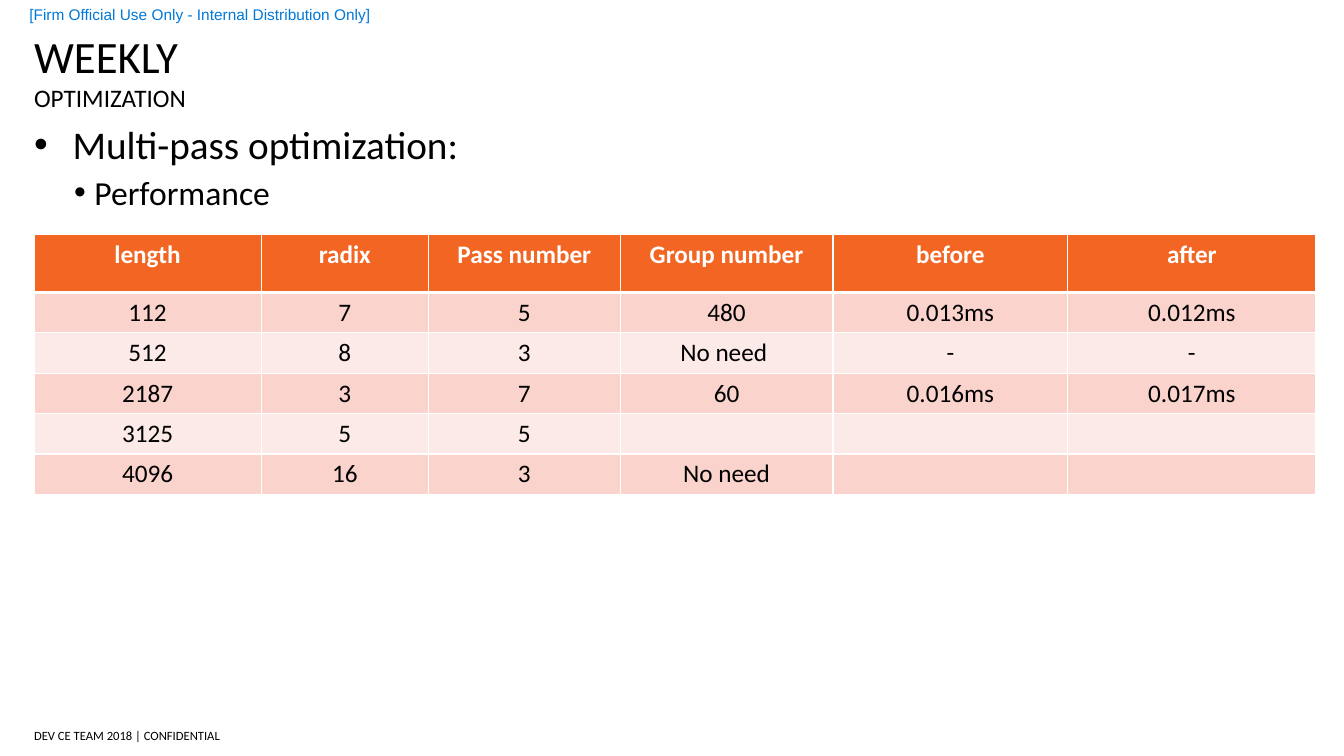
from lxml.etree import SubElement
from pptx import Presentation
from pptx.dml.color import RGBColor
from pptx.enum.text import MSO_ANCHOR, PP_ALIGN
from pptx.oxml.ns import qn
from pptx.util import Cm, Pt

COLORS = {
    "text": "000000",
    "white": "FFFFFF",
    "notice": "0078D7",
    "header": "F26522",
    "band_dark": "FAD3CD",
    "band_light": "FCEAE8",
}
COLUMN_WIDTHS = [5.72, 4.22, 4.83, 5.36, 5.92, 6.25]
HEADER_HEIGHT, ROW_HEIGHT = 1.47, 0.94
ROWS = [
    ["length", "radix", "Pass number", "Group number", "before", "after"],
    ["112", "7", "5", "480", "0.013ms", "0.012ms"],
    ["512", "8", "3", "No need ", "-", "-"],
    ["2187", "3", "7", "60", "0.016ms", "0.017ms"],
    ["3125", "5", "5", "", "", ""],
    ["4096", "16", "3", "No need", "", ""],
]


def rgb(name):
    """Return the named colour."""
    return RGBColor.from_string(COLORS[name])


def write(paragraph, text, size=18, font="Calibri", color="text", bold=False,
          align=PP_ALIGN.LEFT, before=0):
    """Put formatted text into a paragraph."""
    paragraph.alignment = align
    paragraph.space_before = Pt(before)
    run = paragraph.add_run()
    run.text = text
    run.font.size = Pt(size)
    run.font.name = font
    run.font.bold = bold
    run.font.color.rgb = rgb(color)


def set_indent(paragraph, left, hanging=0, bullet=None):
    """Indent a paragraph and give it a bullet when one is named."""
    properties = paragraph._p.get_or_add_pPr()
    properties.set("marL", str(Cm(left)))
    properties.set("indent", str(-Cm(hanging)))
    if bullet:
        SubElement(properties, qn("a:buFont"), typeface="Arial")
        SubElement(properties, qn("a:buChar"), char=bullet)


def add_text_box(slide, left, top, width, height, anchor=MSO_ANCHOR.TOP,
                 inset_top=0, inset_bottom=0):
    """Add a wrapping text box without side insets and return its frame."""
    shape = slide.shapes.add_textbox(Cm(left), Cm(top), Cm(width), Cm(height))
    frame = shape.text_frame
    frame.word_wrap = True
    frame.vertical_anchor = anchor
    frame.margin_left = frame.margin_right = 0
    frame.margin_top, frame.margin_bottom = Cm(inset_top), Cm(inset_bottom)
    return frame


def add_border(cell, side, width):
    """Draw one white cell border."""
    line = SubElement(cell._tc.get_or_add_tcPr(), qn(f"a:ln{side}"), w=str(Pt(width)))
    fill = SubElement(line, qn("a:solidFill"))
    SubElement(fill, qn("a:srgbClr"), val=COLORS["white"])


def format_cell(cell, text, row):
    """Fill one cell according to its row: header or alternating band."""
    is_header = row == 0
    for side in "LRTB":
        below_header = (row, side) in [(0, "B"), (1, "T")]
        add_border(cell, side, 3 if below_header else 1)
    cell.fill.solid()
    band = "band_dark" if row % 2 else "band_light"
    cell.fill.fore_color.rgb = rgb("header" if is_header else band)
    cell.vertical_anchor = MSO_ANCHOR.TOP if is_header else MSO_ANCHOR.MIDDLE
    if text:
        write(cell.text_frame.paragraphs[0], text, bold=is_header,
              color="white" if is_header else "text", align=PP_ALIGN.CENTER)


def add_results_table(slide, left, top):
    """Add the table of pass results."""
    height = HEADER_HEIGHT + ROW_HEIGHT * (len(ROWS) - 1)
    table = slide.shapes.add_table(
        len(ROWS), len(COLUMN_WIDTHS), Cm(left), Cm(top),
        Cm(sum(COLUMN_WIDTHS)), Cm(height)).table
    for column, width in zip(table.columns, COLUMN_WIDTHS):
        column.width = Cm(width)
    for row, texts in enumerate(ROWS):
        table.rows[row].height = Cm(ROW_HEIGHT if row else HEADER_HEIGHT)
        for column, text in enumerate(texts):
            format_cell(table.cell(row, column), text, row)


def main():
    """Build the weekly optimization slide."""
    presentation = Presentation()
    presentation.slide_width, presentation.slide_height = Cm(33.87), Cm(19.05)
    slide = presentation.slides.add_slide(presentation.slide_layouts[6])

    footer = add_text_box(slide, 0.86, 18.24, 4.93, 0.61, MSO_ANCHOR.MIDDLE, 0.1, 0.1)
    write(footer.paragraphs[0], "DEV CE TEAM 2018 | CONFIDENTIAL", size=9)

    notice = add_text_box(slide, 0, 0, 9.7, 0.74, MSO_ANCHOR.MIDDLE)
    write(notice.paragraphs[0], "[Firm Official Use Only - Internal Distribution Only]",
          size=11, font="Arial", color="notice")
    set_indent(notice.paragraphs[0], 0.74)

    body = add_text_box(slide, 0.86, 2.9, 31.5, 14.66, inset_top=0.13, inset_bottom=0.13)
    topic = body.paragraphs[0]
    write(topic, "Multi-pass optimization:", size=28, before=8)
    set_indent(topic, 0.97, 0.97, "•")
    detail = body.add_paragraph()
    detail.level = 1
    write(detail, "Performance", size=24, before=3)
    set_indent(detail, 1.52, 0.51, "•")

    title = add_text_box(slide, 0.86, 0.76, 32.26, 1.32, MSO_ANCHOR.BOTTOM, 0.13)
    write(title.paragraphs[0], "WEEKLY", size=32)
    subtitle = add_text_box(slide, 0.86, 2.08, 32.26, 0.79)
    write(subtitle.paragraphs[0], "OPTIMIZATION", size=18)

    add_results_table(slide, 0.86, 5.9)
    presentation.save("out.pptx")


main()
